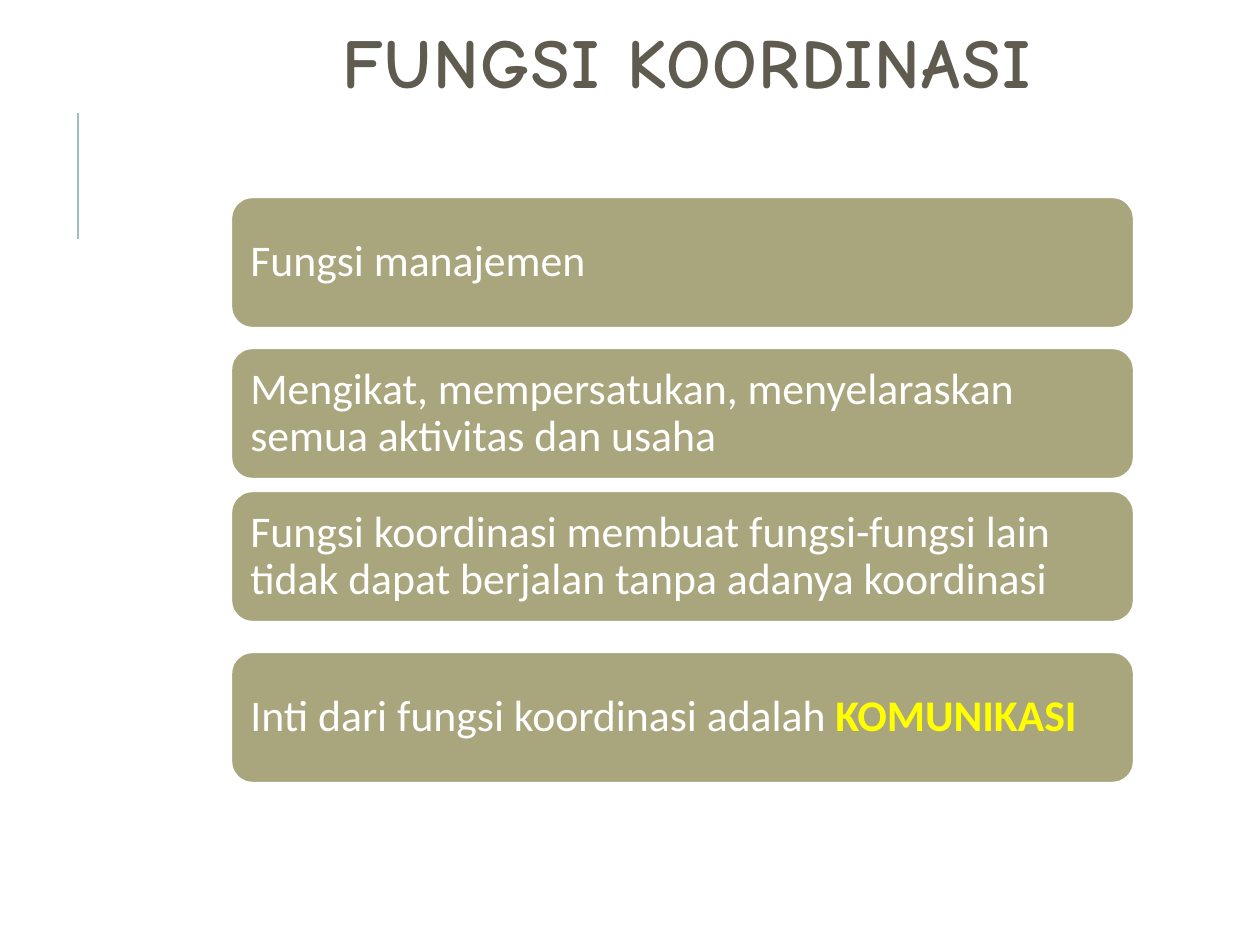
from lxml.etree import SubElement
from pptx import Presentation
from pptx.dml.color import RGBColor
from pptx.enum.shapes import MSO_CONNECTOR as CONN, MSO_SHAPE as SHAPE
from pptx.enum.text import MSO_ANCHOR as ANCHOR, PP_ALIGN as ALIGN
from pptx.oxml.ns import qn
from pptx.util import Pt

PX = 914400 // 126  # EMU per px


def rgb(value):
    return RGBColor.from_string(value)


def add_text(p, text, font="Calibri", size=25, color="FFFFFF", bold=False, spacing=0):
    r = p.add_run()
    r.text = text
    r.font.name, r.font.size, r.font.bold = font, Pt(size), bold
    r.font.color.rgb = rgb(color)
    if spacing:
        r.font._element.set("spc", str(spacing * 100))


prs = Presentation()
prs.slide_width, prs.slide_height = 1260 * PX, 945 * PX
s = prs.slides.add_slide(prs.slide_layouts[6])

# Accent line at the left
line = s.shapes.add_connector(CONN.STRAIGHT, 78 * PX, 239 * PX, 78 * PX, 113 * PX)
line.line.color.rgb = rgb("9CBEBD")
line.line.width = Pt(1.5)
SubElement(line._element.spPr, qn("a:effectLst"))

# Rounded bars: top edge, then runs of text and colour
bars = [
    (197, [("Fungsi manajemen", "FFFFFF")]),
    (348, [("Mengikat, mempersatukan, menyelaraskan semua aktivitas dan usaha", "FFFFFF")]),
    (491, [("Fungsi koordinasi membuat fungsi-fungsi lain tidak dapat berjalan "
            "tanpa adanya koordinasi", "FFFFFF")]),
    (652, [("Inti dari fungsi koordinasi adalah ", "FFFFFF"), ("KOMUNIKASI", "FFFF00")]),
]
for top, runs in bars:
    sp = s.shapes.add_shape(SHAPE.ROUNDED_RECTANGLE, 231 * PX, top * PX, 903 * PX, 131 * PX)
    sp.shadow.inherit = False
    sp.fill.solid()
    sp.fill.fore_color.rgb = rgb("A9A57C")
    sp.line.color.rgb = rgb("FFFFFF")
    sp.line.width = Pt(1.25)
    tf = sp.text_frame
    tf.word_wrap = True
    tf.vertical_anchor = ANCHOR.MIDDLE
    tf.margin_left = tf.margin_right = tf.margin_top = tf.margin_bottom = 13 * PX
    p = tf.paragraphs[0]
    p.alignment = ALIGN.LEFT
    p.line_spacing = 0.9
    for text, color in runs:
        add_text(p, text, color=color, bold=color == "FFFF00")

# Title
title = s.shapes.add_textbox(147 * PX, 32 * PX, 1080 * PX, 73 * PX)
tf = title.text_frame
tf.word_wrap = True
tf.vertical_anchor = ANCHOR.MIDDLE
p = tf.paragraphs[0]
p.alignment = ALIGN.CENTER
p.line_spacing = 0.8
add_text(p, "FUNGSI KOORDINASI", font="Comic Neue", size=40, color="605B4F", bold=True, spacing=1)

prs.save("out.pptx")
